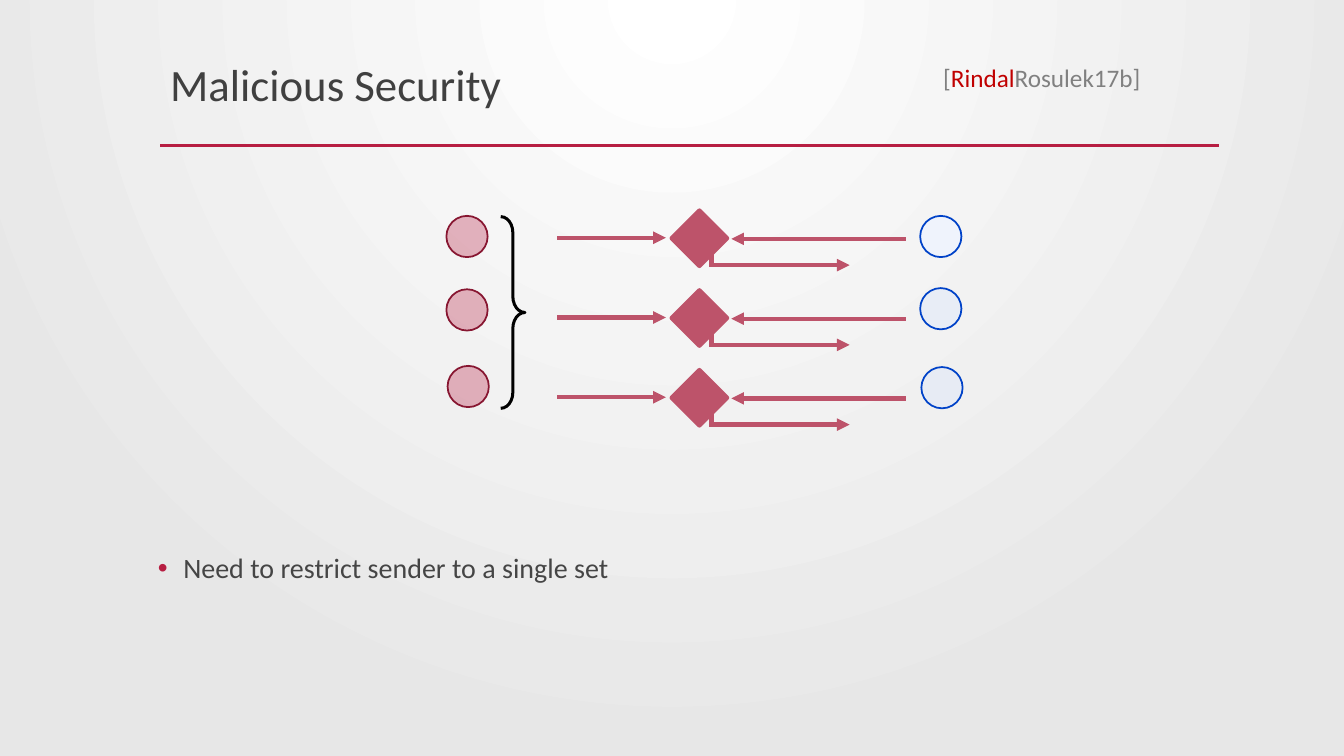
from dataclasses import dataclass

from lxml import etree
from pptx import Presentation
from pptx.dml.color import RGBColor
from pptx.enum.shapes import MSO_CONNECTOR, MSO_SHAPE
from pptx.enum.text import MSO_ANCHOR, MSO_AUTO_SIZE, PP_ALIGN
from pptx.oxml.ns import qn
from pptx.util import Cm, Pt

STRAIGHT = MSO_CONNECTOR.STRAIGHT
OVAL, RECTANGLE, BRACE = MSO_SHAPE.OVAL, MSO_SHAPE.RECTANGLE, MSO_SHAPE.RIGHT_BRACE
TOP, LEFT = MSO_ANCHOR.TOP, PP_ALIGN.LEFT
FIT_TEXT = MSO_AUTO_SIZE.SHAPE_TO_FIT_TEXT


@dataclass(frozen=True)
class Theme:
    font: str = "Calibri"
    title_size: float = 32
    body_size: float = 20
    citation_size: float = 18
    title: str = "404040"
    body: str = "454545"
    citation: str = "808080"
    highlight: str = "C00000"
    accent: str = "B71E42"
    sender_line: str = "871631"
    receiver: str = "D6E3FF"
    receiver_first: str = "EFF3FC"
    receiver_line: str = "0042C8"
    protocol: str = "BD536A"
    brace: str = "000000"
    background: tuple = ("FFFFFF", "E7E7E7")


THEME = Theme()

CIRCLE_SIZE = 1.04
SET_OPACITY = 32
SENDER_SETS = ((11.25, 5.44), (11.25, 7.29), (11.28, 9.22))
RECEIVER_SETS = (
    (23.19, 5.44, THEME.receiver_first, 100),
    (23.19, 7.26, THEME.receiver, SET_OPACITY),
    (23.22, 9.25, THEME.receiver, SET_OPACITY),
)

ROW_COUNT, ROW_TOP, ROW_PITCH = 3, 5.51, 2.01
DIAMOND_LEFT, DIAMOND_SIZE = 17.13, 0.99
# start x, start y, end x, end y, arrowhead; y is measured from the row top
ROW_LINES = (
    (22.83, 0.51, 18.43, 0.51, True),
    (17.93, 0.87, 17.93, 1.22, False),
    (17.96, 1.17, 21.41, 1.17, True),
    (14.04, 0.48, 16.78, 0.48, True),
)


def color(value):
    return RGBColor.from_string(value)


def set_line(line, line_color, width):
    line.color.rgb = color(line_color)
    line.width = Pt(width)


def paint_background(slide):
    """Fill the slide with a radial gradient that starts at the top centre."""
    fill = slide.background.fill
    fill.gradient()
    for stop, value in zip(fill.gradient_stops, THEME.background):
        stop.color.rgb = color(value)
    gradient = slide.element.find(".//" + qn("a:gradFill"))
    gradient.remove(gradient.find(qn("a:lin")))
    circle = etree.SubElement(gradient, qn("a:path"), {"path": "circle"})
    focus = {"l": "43000", "t": "0", "r": "43000", "b": "100000"}
    etree.SubElement(circle, qn("a:fillToRect"), focus)


def add_line(shapes, start, end, line_color, width, arrow=False):
    connector = shapes.add_connector(STRAIGHT, *map(Cm, (*start, *end)))
    set_line(connector.line, line_color, width)
    if arrow:
        line = connector.line._get_or_add_ln()
        etree.SubElement(line, qn("a:tailEnd"), {"type": "triangle"})
    etree.SubElement(connector._element.spPr, qn("a:effectLst"))


def add_figure(shapes, kind, box, fill, line_color, width, opacity=100):
    shape = shapes.add_shape(kind, *map(Cm, box))
    shape.shadow.inherit = False
    set_line(shape.line, line_color, width)
    if fill is None:
        shape.fill.background()
        return shape
    shape.fill.solid()
    shape.fill.fore_color.rgb = color(fill)
    if opacity < 100:
        fill_color = shape._element.spPr.find(qn("a:solidFill"))[0]
        etree.SubElement(fill_color, qn("a:alpha"), {"val": str(opacity * 1000)})
    return shape


def add_circle(shapes, left, top, fill, line_color, opacity):
    box = (left, top, CIRCLE_SIZE, CIRCLE_SIZE)
    add_figure(shapes, OVAL, box, fill, line_color, 1.25, opacity)


def add_text(slide, box, runs, size, spacing=1.0, wrap=True):
    """Add a one-paragraph text box from (text, colour) runs."""
    text_box = slide.shapes.add_textbox(*map(Cm, box))
    frame = text_box.text_frame
    frame.word_wrap = wrap
    frame.vertical_anchor = TOP
    if not wrap:
        frame.auto_size = FIT_TEXT
    paragraph = frame.paragraphs[0]
    for name, value in {"alignment": LEFT, "line_spacing": spacing}.items():
        setattr(paragraph, name, value)
    for text, text_color in runs:
        run = paragraph.add_run()
        run.text = text
        for name, value in {"name": THEME.font, "size": Pt(size)}.items():
            setattr(run.font, name, value)
        run.font.color.rgb = color(text_color)
    return paragraph


def add_bullet(paragraph):
    properties = paragraph._p.get_or_add_pPr()
    indent = Cm(0.64)
    properties.set("marL", str(indent))
    properties.set("indent", str(-indent))
    bullet_color = etree.SubElement(properties, qn("a:buClr"))
    etree.SubElement(bullet_color, qn("a:srgbClr"), {"val": THEME.accent})
    etree.SubElement(properties, qn("a:buFont"), {"typeface": "Arial"})
    etree.SubElement(properties, qn("a:buChar"), {"char": "•"})


def add_protocol_row(slide, top):
    """Group a diamond with its two inputs and its output arrow."""
    shapes = slide.shapes.add_group_shape().shapes
    box = (DIAMOND_LEFT, top, DIAMOND_SIZE, DIAMOND_SIZE)
    diamond = add_figure(shapes, RECTANGLE, box, THEME.protocol, THEME.protocol, 3)
    diamond.rotation = 45
    for x1, y1, x2, y2, arrow in ROW_LINES:
        add_line(shapes, (x1, top + y1), (x2, top + y2), THEME.protocol, 3, arrow)


def add_brace(slide):
    box = (12.62, 5.46, 0.61, 4.83)
    brace = add_figure(slide.shapes, BRACE, box, None, THEME.brace, 2.15)
    brace.adjustments[0] = 0.66


def main():
    presentation = Presentation()
    presentation.slide_width, presentation.slide_height = Cm(33.87), Cm(19.05)
    slide = presentation.slides.add_slide(presentation.slide_layouts[6])
    paint_background(slide)

    add_line(slide.shapes, (4.04, 3.66), (30.73, 3.66), THEME.accent, 2.5)
    title = [("Malicious Security", THEME.title)]
    add_text(slide, (4.04, 1.47, 26.67, 1.7), title, THEME.title_size, 0.9)
    citation = [
        ("[", THEME.citation),
        ("Rindal", THEME.highlight),
        ("Rosulek17b]", THEME.citation),
    ]
    citation_box = (23.52, 1.45, 5.56, 1.02)
    add_text(slide, citation_box, citation, THEME.citation_size, wrap=False)

    for left, top, fill, opacity in RECEIVER_SETS:
        add_circle(slide.shapes, left, top, fill, THEME.receiver_line, opacity)
    for row in range(ROW_COUNT):
        add_protocol_row(slide, ROW_TOP + row * ROW_PITCH)

    body = [("Need to restrict sender to a single set", THEME.body)]
    add_bullet(add_text(slide, (3.73, 13.59, 26.67, 5.33), body, THEME.body_size, 1.2))

    for left, top in SENDER_SETS:
        add_circle(slide.shapes, left, top, THEME.accent, THEME.sender_line, SET_OPACITY)
    add_brace(slide)
    presentation.save("out.pptx")


if __name__ == "__main__":
    main()
